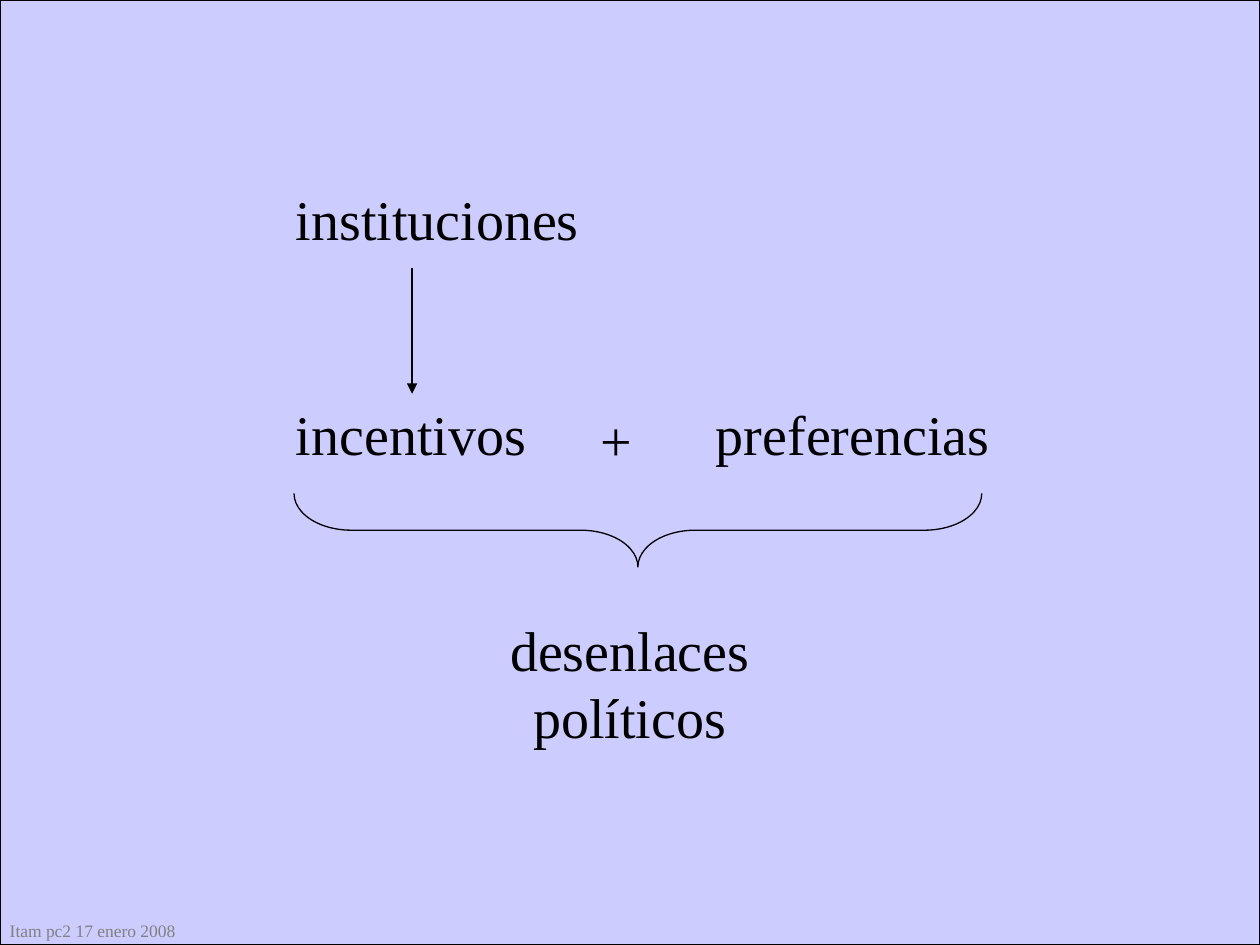
from dataclasses import dataclass

from lxml import etree
from pptx import Presentation
from pptx import util as u
from pptx.dml.color import RGBColor as Rgb
from pptx.enum import shapes as es, text as et
from pptx.oxml import ns

Pt = u.Pt


@dataclass(frozen=True)
class Theme:
    face: str = "Times New Roman"
    back: Rgb = Rgb(0xCC, 0xCC, 0xFF)
    ink: Rgb = Rgb(0, 0, 0)
    grey: Rgb = Rgb(0x80, 0x80, 0x80)
    body: float = 32
    foot: float = 10
    line: float = 0.75


LOOK = Theme()
WIDE, HIGH = 720, 540
LEFT, ROW = 162, 225
TERMS = [
    ("instituciones", (LEFT, 102, 192, 46)),
    ("incentivos", (LEFT, ROW, 168, 46)),
    ("preferencias", (402, ROW, 192, 46)),
    ("+", (336, ROW + 3, 36, 46)),
]


def put(item, **vals):
    for key, val in vals.items():
        setattr(item, key, val)


def ink(line):
    line.color.rgb = LOOK.ink
    line.width = Pt(LOOK.line)


def shape(slide, kind, box):
    item = slide.shapes.add_shape(kind, *map(Pt, box))
    item.shadow.inherit = False
    ink(item.line)
    return item


def label(slide, words, box, size=LOOK.body, hue=LOOK.ink, align=et.PP_ALIGN.LEFT):
    frame = slide.shapes.add_textbox(*map(Pt, box)).text_frame
    put(frame, word_wrap=True, text=words)
    para = frame.paragraphs[0]
    para.alignment = align
    put(para.font, name=LOOK.face, size=Pt(size))
    para.font.color.rgb = hue


def brace(slide, box):
    """Draw a right brace turned so that its tip points down."""
    item = shape(slide, es.MSO_SHAPE.RIGHT_BRACE, box)
    item.fill.background()
    item.rotation = 90
    item.adjustments[0] = 0.78


def arrow(slide, start, end):
    item = slide.shapes.add_connector(
        es.MSO_CONNECTOR.STRAIGHT, *map(Pt, start + end))
    ink(item.line)
    props = item.element.spPr
    etree.SubElement(props.find(ns.qn("a:ln")), ns.qn("a:tailEnd"), type="triangle")
    etree.SubElement(props, ns.qn("a:effectLst"))


def main():
    deck = Presentation()
    put(deck, slide_width=Pt(WIDE), slide_height=Pt(HIGH))
    slide = deck.slides.add_slide(deck.slide_layouts[6])

    panel = shape(slide, es.MSO_SHAPE.RECTANGLE, (0, 0, WIDE, HIGH))
    panel.fill.solid()
    panel.fill.fore_color.rgb = LOOK.back
    label(slide, "Itam pc2 17 enero 2008", (-1.5, 522, 133, 19.5),
          LOOK.foot, LOOK.grey)

    for words, box in TERMS:
        label(slide, words, box)
    brace(slide, (343.5, 106.5, 42, 393))
    label(slide, "desenlaces políticos", (264, 348, 192, 84),
          align=et.PP_ALIGN.CENTER)
    arrow(slide, (235.5, 153), (235.5, ROW))
    deck.save("out.pptx")


if __name__ == "__main__":
    main()
